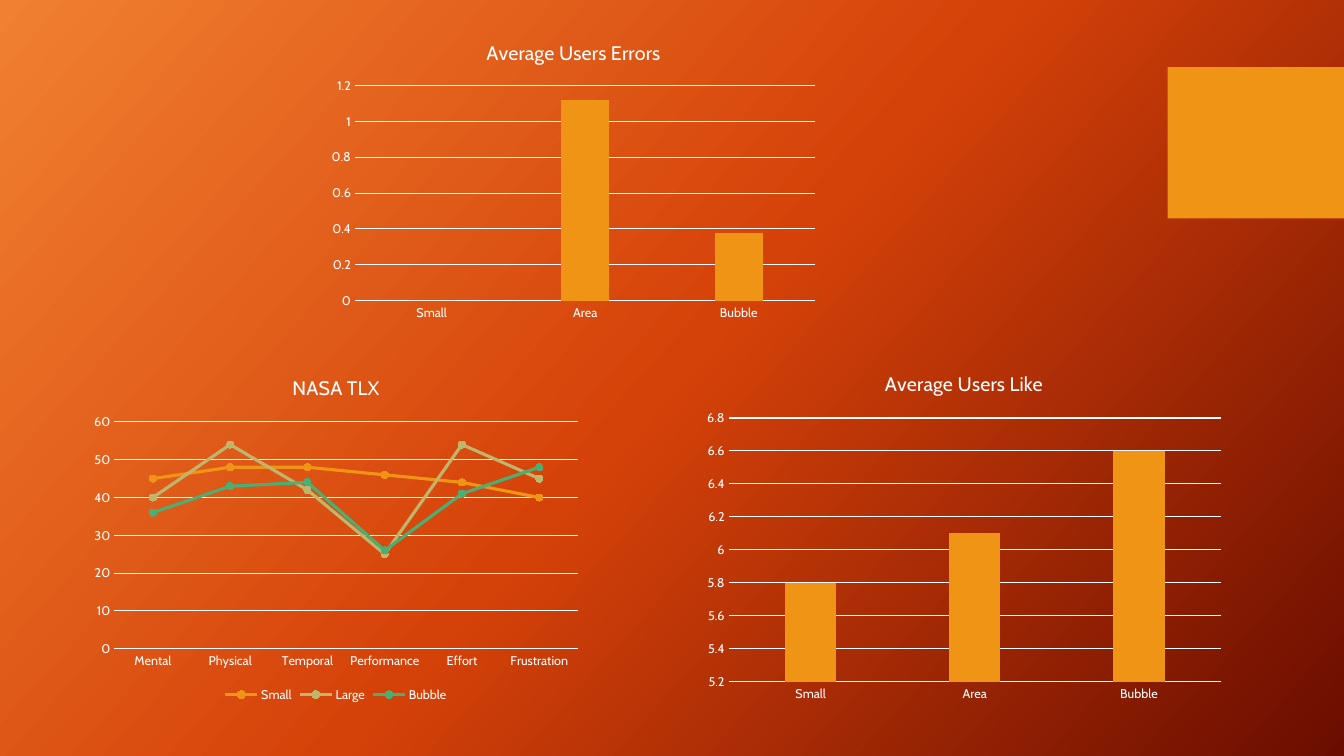
"""Build a slide of three charts on user errors, workload and liking."""
from copy import deepcopy

from pptx import Presentation
from pptx.chart.data import CategoryChartData
from pptx.dml.color import RGBColor
from pptx.enum.chart import XL_CHART_TYPE, XL_LEGEND_POSITION, XL_MARKER_STYLE, XL_TICK_MARK
from pptx.enum.shapes import MSO_SHAPE
from pptx.oxml.ns import qn
from pptx.util import Pt

COLUMNS = XL_CHART_TYPE.COLUMN_CLUSTERED
LINES = XL_CHART_TYPE.LINE_MARKERS
BOTTOM = XL_LEGEND_POSITION.BOTTOM
CIRCLE = XL_MARKER_STYLE.CIRCLE
NO_TICK = XL_TICK_MARK.NONE
RECTANGLE = MSO_SHAPE.RECTANGLE

WHITE = "FFFFFF"
ORANGE = "F09415"
SERIES_COLOURS = (ORANGE, "C1B56B", "4BAF73")
BACKGROUND_STOPS = ((0, "F18031"), (0.5, "D54209"), (1, "6A0D00"))
DESIGNS = ("Small", "Area", "Bubble")
WORKLOAD_SCALES = ("Mental", "Physical", "Temporal", "Performance", "Effort", "Frustration")
WORKLOAD = {
    "Small": (45, 48, 48, 46, 44, 40),
    "Large": (40, 54, 42, 25, 54, 45),
    "Bubble": (36, 43, 44, 26, 41, 48),
}


def colour(value):
    """Turn a hex string into a colour."""
    return RGBColor.from_string(value)


def apply_format(target, values):
    """Set each attribute named in a dict of format values."""
    for name, value in values.items():
        setattr(target, name, value)


class SlideBuilder:
    """Hold the style and the current slide, and add its elements."""

    def __init__(self, page):
        """Keep the page and the text formats."""
        self.page = page
        self.label_format = {"name": "Cabin", "size": Pt(9), "bold": False}
        self.title_format = {**self.label_format, "size": Pt(14)}

    def style_font(self, font, values):
        """Apply a text format in white."""
        apply_format(font, values)
        font.color.rgb = colour(WHITE)

    def style_line(self, line, value, width):
        """Give a line a solid colour and a width."""
        line.color.rgb = colour(value)
        line.width = Pt(width)

    def add_background(self, stops, angle):
        """Fill the page with a linear gradient."""
        fill = self.page.background.fill
        fill.gradient()
        fill.gradient_angle = angle
        stop_list = self.page.element.find(".//" + qn("a:gsLst"))
        while len(stop_list) < len(stops):
            stop_list.append(deepcopy(stop_list[0]))
        for stop, (position, value) in zip(fill.gradient_stops, stops):
            stop.position = position
            stop.color.rgb = colour(value)

    def add_block(self, left, top, width, height, value):
        """Add a plain filled rectangle."""
        block = self.page.shapes.add_shape(RECTANGLE, Pt(left), Pt(top), Pt(width), Pt(height))
        block.shadow.inherit = False
        block.fill.solid()
        block.fill.fore_color.rgb = colour(value)
        block.line.fill.background()

    def add_chart(self, kind, place, title, categories, series, scale):
        """Add a titled chart and return it for further styling."""
        data = CategoryChartData()
        data.categories = categories
        for name, values in series.items():
            data.add_series(name, values)
        chart = self.page.shapes.add_chart(kind, *map(Pt, place), data).chart
        self.style_font(chart.font, {**self.label_format, "size": Pt(10)})
        chart.has_legend = False
        chart.has_title = True
        para = chart.chart_title.text_frame.paragraphs[0]
        span = para.add_run()
        span.text = title
        self.style_font(span.font, self.title_format)
        self.style_axes(chart, scale)
        return chart

    def style_axes(self, chart, scale):
        """Style both axes and the gridlines."""
        for axis in (chart.category_axis, chart.value_axis):
            apply_format(axis, {"major_tick_mark": NO_TICK, "minor_tick_mark": NO_TICK})
            self.style_font(axis.tick_labels.font, self.label_format)
        self.style_line(chart.category_axis.format.line, WHITE, 0.75)
        value_axis = chart.value_axis
        value_axis.format.line.fill.background()
        self.style_line(value_axis.major_gridlines.format.line, WHITE, 0.75)
        names = ("minimum_scale", "maximum_scale", "major_unit")
        apply_format(value_axis, dict(zip(names, scale)))

    def add_columns(self, place, title, values, scale):
        """Add a chart with one series of columns."""
        chart = self.add_chart(COLUMNS, place, title, DESIGNS, {"Series 1": values}, scale)
        plot = chart.plots[0]
        apply_format(plot, {"gap_width": 219, "overlap": -27, "vary_by_categories": False})
        fill = plot.series[0].format.fill
        fill.solid()
        fill.fore_color.rgb = colour(ORANGE)

    def add_lines(self, place, title, categories, series, scale):
        """Add a chart of marked lines with a legend below."""
        chart = self.add_chart(LINES, place, title, categories, series, scale)
        chart.has_legend = True
        apply_format(chart.legend, {"position": BOTTOM, "include_in_layout": False})
        self.style_font(chart.legend.font, self.label_format)
        chart.plots[0].vary_by_categories = False
        for line, value in zip(chart.plots[0].series, SERIES_COLOURS):
            line.smooth = False
            self.style_line(line.format.line, value, 2.25)
            apply_format(line.marker, {"style": CIRCLE, "size": 5})
            line.marker.format.fill.solid()
            line.marker.format.fill.fore_color.rgb = colour(value)
            self.style_line(line.marker.format.line, value, 0.75)


def main():
    """Build and save the deck."""
    deck = Presentation()
    apply_format(deck, {"slide_width": Pt(960), "slide_height": Pt(540)})
    builder = SlideBuilder(deck.slides.add_slide(deck.slide_layouts[6]))
    builder.add_background(BACKGROUND_STOPS, 318)
    builder.add_block(834, 48, 126, 108, ORANGE)
    builder.add_lines((60, 256.3, 360, 248.4), "NASA TLX", WORKLOAD_SCALES, WORKLOAD, (0, 60, 10))
    builder.add_columns(
        (497.5, 253.4, 382.3, 252.7), "Average Users Like", (5.8, 6.1, 6.6), (5.2, 6.8, 0.2)
    )
    builder.add_columns(
        (229.7, 17.3, 360, 216), "Average Users Errors", (0, 1.12, 0.38), (0, 1.2, 0.2)
    )
    deck.save("out.pptx")


if __name__ == "__main__":
    main()
